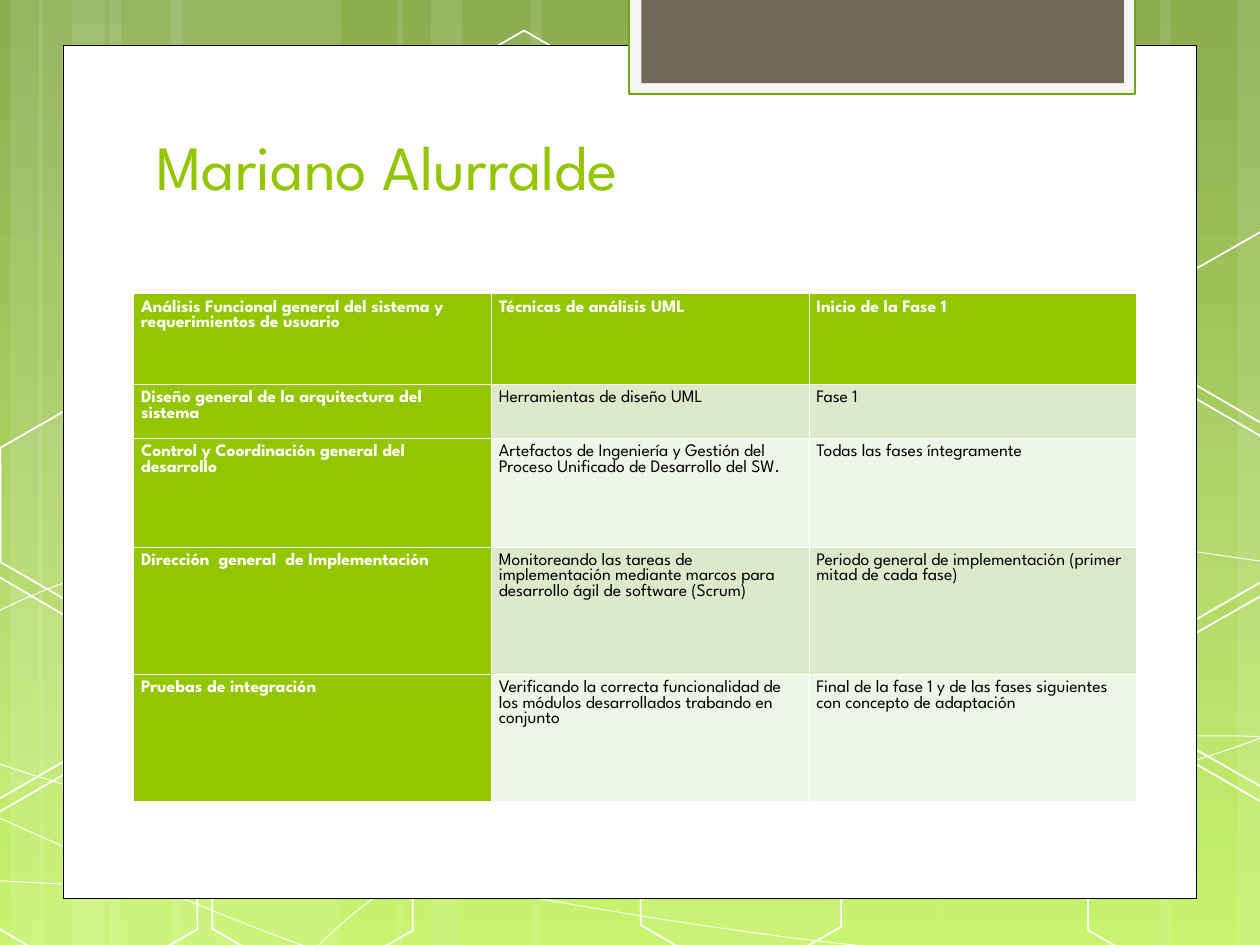
"""Builds a slide with a task table on a green hexagon backdrop."""
import math
from typing import NamedTuple, Optional

from lxml import etree
from pptx import Presentation
from pptx import util as u
from pptx.dml import color
from pptx.enum import shapes, text
from pptx.oxml import ns

FONT = "League Spartan"
TILT = 30
HUES = {"top": "80A33D", "base": "C2F35F", "white": "FFFFFF", "black": "000000",
        "lime": "94C600", "pale": "EFF5E7", "soft": "DCEACB", "mist": "F5F5F5",
        "edge": "74A510", "brown": "71685A"}


class Box(NamedTuple):
    left: float
    top: float
    width: float
    height: float
    fill: Optional[str] = "white"
    alpha: int = 100
    line: Optional[str] = None
    weight: float = 0.5


class Hexa(NamedTuple):
    left: float
    top: float
    alpha: int = 0


class Part(NamedTuple):
    mid: tuple
    points: list
    alpha: int = 0


STRIPES = [(0.87, 1.84), (-0.18, 0.52), (0.08, 0.88), (1.36, 1.84), (0.31, 0.52),
           (0.57, 0.88), (7.45, 1.84), (9.82, 0.52), (9.21, 0.88), (4.21, 3.25),
           (3.15, 0.52), (3.42, 0.88)]
CURVES = [
    [(-0.2, 6.98), (0.37, 7.01), (0.94, 7.05), (1.73, 7.03), (2.52, 7.02), (3.49, 7),
     (4.55, 6.9), (5.61, 6.79), (7.1, 6.6), (8.06, 6.4), (9.03, 6.2), (10.02, 5.89),
     (10.34, 5.71)],
    [(-0.2, 4.94), (0.11, 4.79), (0.41, 4.63), (1.01, 4.47), (1.61, 4.32), (2.45, 4.09),
     (3.39, 4.02), (4.32, 3.94), (5.46, 3.93), (6.62, 4.02), (7.77, 4.1), (9.7, 4.42),
     (10.34, 4.5)],
    [(-0.21, 6.4), (1.06, 6.97), (2.33, 7.54), (3.25, 7.77)],
    [(-0.2, 6), (0.13, 6.11), (0.46, 6.22), (1.08, 6.39), (1.69, 6.55), (2.61, 6.8),
     (3.48, 6.98), (4.36, 7.16), (5.47, 7.34), (6.34, 7.45), (7.21, 7.56), (8.15, 7.61),
     (8.71, 7.64), (9.26, 7.67), (9.41, 7.66), (9.68, 7.65), (9.95, 7.65), (10.14, 7.63),
     (10.34, 7.61)],
    [(2.28, 7.77), (2.47, 7.57), (2.65, 7.36), (2.91, 7.17), (3.16, 6.98), (3.52, 6.77),
     (3.81, 6.63), (4.11, 6.49), (4.29, 6.43), (4.67, 6.32), (5.06, 6.21), (5.77, 6.07),
     (6.14, 6), (6.51, 5.93), (6.56, 5.93), (6.89, 5.9), (7.21, 5.88), (7.73, 5.85),
     (8.09, 5.84), (8.45, 5.82), (9.06, 5.84), (9.06, 5.84), (9.3, 5.84), (9.53, 5.84),
     (9.76, 5.84), (9.95, 5.84), (10.13, 5.86), (10.22, 5.86), (10.32, 5.87),
     (10.29, 5.87), (10.32, 5.88)],
]
CELLS = [
    Hexa(3.25, 0.37, 4), Hexa(4.96, 6.11, 6),
    Part((0.1, 5.56), [(-0.19, 4.61), (-0.07, 4.54), (0.73, 5.01), (0.73, 5.92),
                       (-0.05, 6.37), (-0.17, 6.3)], 10),
    Hexa(-0.15, 6.13), Hexa(-0.12, 3.23, 7), Hexa(0.71, 4.68), Hexa(1.56, 6.14),
    Hexa(0.73, 1.77), Hexa(7.66, 4.7, 10), Hexa(8.51, 6.15), Hexa(8.51, 3.25, 7),
    Part((10.1, 5.39), [(9.48, 5.03), (10.27, 4.58), (10.35, 4.62), (10.36, 6.36),
                        (10.29, 6.4), (9.48, 5.94)], 4),
    Part((10.1, 2.5), [(9.48, 2.14), (10.27, 1.69), (10.36, 1.74), (10.36, 3.48),
                       (10.29, 3.52), (9.48, 3.05)]),
]
PANELS = [Box(0.5, 0.36, 9, 6.77, line="black"),
          Box(4.99, -0.02, 4.02, 0.77, "mist", line="edge", weight=1.25),
          Box(5.09, -0.02, 3.83, 0.68, "brown")]
COLS = [2.84, 2.52, 2.6]
ROWS = [0.72, 0.43, 0.86, 1.01, 1.01]
TASKS = [
    ("Análisis Funcional general del sistema y requerimientos de usuario",
     "Técnicas de análisis UML", "Inicio de la Fase 1"),
    ("Diseño general de la arquitectura del sistema",
     "Herramientas de diseño UML", "Fase 1"),
    ("Control y Coordinación general del desarrollo",
     "Artefactos de Ingeniería y Gestión del Proceso Unificado de Desarrollo del SW.",
     "Todas las fases íntegramente"),
    ("Dirección  general  de Implementación",
     "Monitoreando las tareas de implementación mediante marcos para desarrollo ágil "
     "de software (Scrum)",
     "Periodo general de implementación (primer mitad de cada fase)"),
    ("Pruebas de integración",
     "Verificando la correcta funcionalidad de los módulos desarrollados trabando en "
     "conjunto",
     "Final de la fase 1 y de las fases siguientes con concepto de adaptación"),
]


def hue(name: str) -> color.RGBColor:
    return color.RGBColor.from_string(HUES[name])


def paint(shape, fill: Optional[str], alpha: int, line: Optional[str],
          weight: float) -> None:
    shape.shadow.inherit = False
    if fill and alpha:
        shape.fill.solid()
        shape.fill.fore_color.rgb = hue(fill)
        if alpha < 100:
            tint = shape.element.spPr.find(ns.qn("a:solidFill"))[0]
            etree.SubElement(tint, ns.qn("a:alpha"), val=str(alpha * 1000))
    else:
        shape.fill.background()
    if line:
        shape.line.color.rgb = hue(line)
        shape.line.width = u.Pt(weight)
    else:
        shape.line.fill.background()


def block(slide, box: Box) -> None:
    shape = slide.shapes.add_shape(shapes.MSO_SHAPE.RECTANGLE, *map(u.Inches, box[:4]))
    paint(shape, *box[4:])


def trace(slide, points: list, close: bool):
    spots = [(u.Inches(x), u.Inches(y)) for x, y in points]
    form = slide.shapes.build_freeform(*spots[0])
    form.add_line_segments(spots[1:], close=close)
    return form.convert_to_shape()


def curve(slide, knots: list) -> None:
    shape = trace(slide, knots, False)
    lines = list(shape.element.iter(ns.qn("a:lnTo")))
    for i in range(0, len(lines), 3):
        bend = etree.Element(ns.qn("a:cubicBezTo"))
        lines[i].addprevious(bend)
        for line in lines[i:i + 3]:
            bend.append(line[0])
            line.getparent().remove(line)
    paint(shape, None, 0, "white", 0.5)


def turn(point: tuple, mid: tuple) -> tuple:
    cos, sin = math.cos(math.radians(TILT)), math.sin(math.radians(TILT))
    x, y = point[0] - mid[0], point[1] - mid[1]
    return mid[0] + x * cos + y * sin, mid[1] - x * sin + y * cos


def comb(slide, cell) -> None:
    if isinstance(cell, Part):
        shape = trace(slide, [turn(p, cell.mid) for p in cell.points], True)
    else:
        shape = slide.shapes.add_shape(
            shapes.MSO_SHAPE.HEXAGON,
            *map(u.Inches, (cell.left, cell.top, 1.84, 1.57)))
        shape.adjustments[0] = 0.29
    shape.rotation = TILT
    paint(shape, "white", cell.alpha, "white", 1)


def style(para, size: int, tone: str, bold: bool = False) -> None:
    para.font.name = FONT
    para.font.size = u.Pt(size)
    para.font.bold = bold
    para.font.color.rgb = hue(tone)


def edge(cell, row: int) -> None:
    props = cell._tc.get_or_add_tcPr()
    thick = {"T": row == 1, "B": row == 0}
    for i, side in enumerate("LRTB"):
        width = u.Pt(0.75 if thick.get(side) else 0.25)
        line = etree.Element(ns.qn("a:ln" + side), w=str(width))
        fill = etree.SubElement(line, ns.qn("a:solidFill"))
        etree.SubElement(fill, ns.qn("a:srgbClr"), val=HUES["white"])
        props.insert(i, line)


def grid(slide) -> None:
    table = slide.shapes.add_table(len(ROWS), len(COLS), u.Inches(1.06), u.Inches(2.33),
                                   u.Inches(sum(COLS)), u.Inches(sum(ROWS))).table
    table.first_col = True
    for col, width in zip(table.columns, COLS):
        col.width = u.Inches(width)
    for r, (row, height) in enumerate(zip(table.rows, ROWS)):
        row.height = u.Inches(height)
        for c, cell in enumerate(row.cells):
            head = r == 0 or c == 0
            cell.margin_left = cell.margin_right = u.Inches(0.06)
            cell.margin_top = cell.margin_bottom = u.Inches(0.05)
            cell.text = TASKS[r][c]
            para = cell.text_frame.paragraphs[0]
            para.line_spacing = 0.98
            style(para, 10, "white" if head else "black", head)
            cell.fill.solid()
            cell.fill.fore_color.rgb = hue("lime" if head else "soft" if r % 2 else "pale")
            edge(cell, r)


def title(slide) -> None:
    frame = slide.shapes.add_textbox(
        *map(u.Inches, (1.14, 0.91, 7.68, 0.75))).text_frame
    frame.word_wrap = True
    frame.vertical_anchor = text.MSO_ANCHOR.BOTTOM
    frame.text = "Mariano Alurralde"
    style(frame.paragraphs[0], 36, "lime")


def main() -> None:
    deck = Presentation()
    deck.slide_width, deck.slide_height = u.Inches(10), u.Inches(7.5)
    slide = deck.slides.add_slide(deck.slide_layouts[6])
    back = slide.background.fill
    back.gradient()
    back.gradient_angle = 270
    for stop, name in zip(back.gradient_stops, ("top", "base")):
        stop.color.rgb = hue(name)
    for left, width in STRIPES:
        block(slide, Box(left, 0, width, 7.78, alpha=10))
    for knots in CURVES:
        curve(slide, knots)
    for cell in CELLS:
        comb(slide, cell)
    for box in PANELS:
        block(slide, box)
    title(slide)
    grid(slide)
    deck.save("out.pptx")


main()
